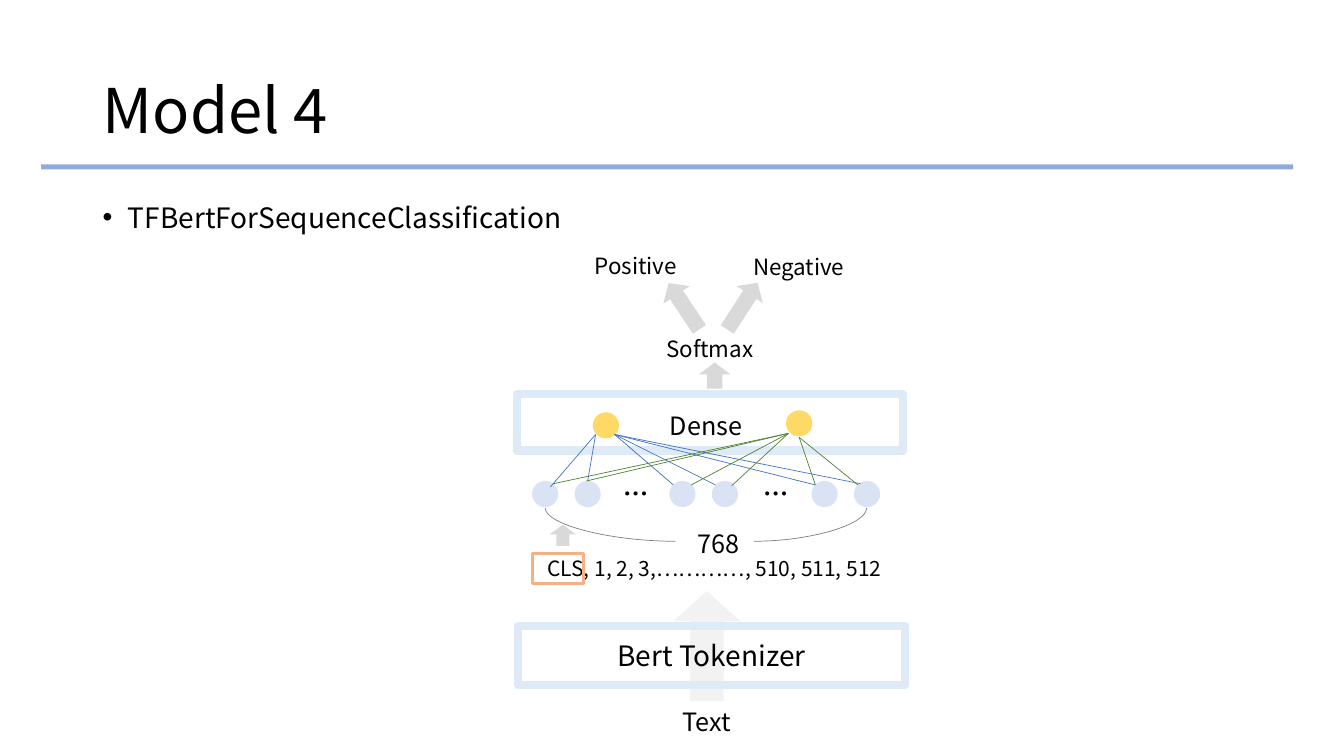
from collections import namedtuple

from lxml.etree import SubElement
from pptx import Presentation
from pptx.dml.color import RGBColor
from pptx.enum.shapes import MSO_CONNECTOR as Link, MSO_SHAPE as Shape
from pptx.enum.text import MSO_ANCHOR as Anchor, MSO_AUTO_SIZE as AutoSize, PP_ALIGN as Align
from pptx.oxml.ns import qn
from pptx.util import Cm, Pt

FONT = "Noto Sans CJK KR"
BLACK = RGBColor(0x00, 0x00, 0x00)
RULE_BLUE = RGBColor(0x8F, 0xAA, 0xDC)
FRAME_BLUE = RGBColor(0xDE, 0xEB, 0xF7)
NODE_BLUE = RGBColor(0xDA, 0xE3, 0xF3)
NODE_YELLOW = RGBColor(0xFF, 0xD9, 0x66)
LINK_BLUE = RGBColor(0x44, 0x72, 0xC4)
LINK_GREEN = RGBColor(0x54, 0x82, 0x35)
ORANGE = RGBColor(0xF4, 0xB1, 0x83)
BRACE_GRAY = RGBColor(0x80, 0x80, 0x80)
ARROW_GRAY = RGBColor(0xD9, 0xD9, 0xD9)
ARROW_PALE = RGBColor(0xF2, 0xF2, 0xF2)

Box = namedtuple("Box", "left top width height")


def inside(box, left, top, width, height):
    """Return a box placed relative to the corner of another one."""
    return Box(box.left + left, box.top + top, width, height)


def write(para, text, size, bold=False):
    """Add one run of black text to a paragraph."""
    span = para.add_run()
    span.text = text
    font = span.font
    font.name, font.size, font.bold = FONT, Pt(size), bold
    font.color.rgb = BLACK
    SubElement(font._element, qn("a:ea")).set("typeface", FONT)


def add_text(page, box, text, size, align=Align.CENTER, bold=False):
    """Add a wrapped text box and return its text frame."""
    frame = page.shapes.add_textbox(*map(Cm, box)).text_frame
    frame.word_wrap = True
    para = frame.paragraphs[0]
    para.alignment = align
    write(para, text, size, bold)
    return frame


def add_label(page, box, text, size, bold=False):
    """Add a centred label that grows with its text."""
    add_text(page, box, text, size, bold=bold).auto_size = AutoSize.SHAPE_TO_FIT_TEXT


def add_solid(page, kind, box, color):
    """Add a filled shape without outline."""
    shape = page.shapes.add_shape(kind, *map(Cm, box))
    shape.shadow.inherit = False
    shape.fill.solid()
    shape.fill.fore_color.rgb = color
    shape.line.fill.background()
    return shape


def add_frame(page, box, color, weight):
    """Add a hollow rectangle."""
    shape = page.shapes.add_shape(Shape.RECTANGLE, *map(Cm, box))
    shape.shadow.inherit = False
    shape.fill.background()
    shape.line.color.rgb = color
    shape.line.width = Pt(weight)
    return shape


def add_arrow(page, box, color, rotation=270):
    """Add a block arrow turned by the given angle."""
    arrow = add_solid(page, Shape.RIGHT_ARROW, box, color)
    arrow.adjustments[0], arrow.adjustments[1] = 0.5, 0.449
    arrow.rotation = rotation


def add_link(page, kind, start, end, color):
    """Add a thin connector between two points."""
    link = page.shapes.add_connector(kind, *map(Cm, start + end))
    link.line.color.rgb = color
    link.line.width = Pt(0.5)
    SubElement(link._element.spPr, qn("a:effectLst"))
    return link


def add_brace(page, start, end):
    """Add a quarter curve that leaves downwards and arrives sideways."""
    (x1, y1), (x2, y2) = start, end
    center_x, center_y = (x1 + x2) / 2, (y1 + y2) / 2
    half_width, half_height = (y2 - y1) / 2, abs(x2 - x1) / 2
    side = 1 if x2 > x1 else -1
    link = add_link(page, Link.CURVE,
                    (center_x + side * half_width, center_y - half_height),
                    (center_x - side * half_width, center_y + half_height), BRACE_GRAY)
    properties = link._element.spPr
    properties.find(qn("a:prstGeom")).set("prst", "curvedConnector2")
    properties.find(qn("a:xfrm")).set("rot", str((270 if side > 0 else 90) * 60000))


def add_header(page, box):
    """Place the title, the rule and the bullet."""
    title = add_text(page, inside(box, 1.3, 0, 29.21, 3.68), "Model 4", 44, Align.LEFT)
    title.vertical_anchor = Anchor.MIDDLE
    title.paragraphs[0].line_spacing = 0.9
    add_solid(page, Shape.RECTANGLE, inside(box, 0, 3.12, box.width, 0.13), RULE_BLUE)
    body = add_text(page, inside(box, 1.3, 4.06, 29.21, 0.97),
                    "TFBertForSequenceClassification", 20, Align.LEFT)
    para = body.paragraphs[0]
    para.line_spacing = 0.8
    properties = para._p.get_or_add_pPr()
    properties.set("marL", str(Cm(0.635)))
    properties.set("indent", str(-Cm(0.635)))
    SubElement(properties, qn("a:buFont")).set("typeface", "Arial")
    SubElement(properties, qn("a:buChar")).set("char", "•")


def add_tokenizer(page, box):
    """Place the input text, the tokenizer and its tokens."""
    add_arrow(page, inside(box, 3.37, 2.28, 2.77, 1.68), ARROW_PALE)
    tokenizer = add_frame(page, inside(box, 0, 2.61, box.width, 1.5), FRAME_BLUE, 6)
    tokenizer.text_frame.vertical_anchor = Anchor.MIDDLE
    para = tokenizer.text_frame.paragraphs[0]
    para.alignment = Align.CENTER
    write(para, "Bert Tokenizer", 20)
    add_label(page, inside(box, 0.86, 4.52, 7.77, 1.02), "Text", 18)
    add_label(page, inside(box, 0.07, 0.71, box.width, 0.89),
              "CLS, 1, 2, 3,…………, 510, 511, 512", 15)
    add_frame(page, inside(box, 0.35, 0.78, 1.3, 0.76), ORANGE, 2.25)
    add_arrow(page, inside(box, 0.86, 0, 0.53, 0.66), ARROW_GRAY)


def add_network(page, box):
    """Place the dense layer, its nodes and their links."""
    add_frame(page, inside(box, 0, 0, box.width, 1.42), FRAME_BLUE, 6)
    for pair_left in (0.38, 3.84, 7.42):
        for left in (pair_left, pair_left + 1.07):
            add_solid(page, Shape.OVAL, inside(box, left, 2.19, 0.66, 0.66), NODE_BLUE)
    for left, top in ((1.91, 0.46), (6.78, 0.41)):
        add_solid(page, Shape.OVAL, inside(box, left, top, 0.66, 0.66), NODE_YELLOW)
    for left in (2.44, 5.97):
        add_label(page, inside(box, left, 2.01, 1.14, 1.02), "⋯", 18, bold=True)

    def point(x, y):
        """Return a point measured from the corner of the box."""
        return box.left + x, box.top + y

    fans = (
        (LINK_BLUE, (1.98, 1.02), ((0.84, 2.34), (1.78, 2.19))),
        (LINK_BLUE, (2.46, 1.02), ((3.94, 2.29), (5, 2.29), (7.52, 2.29), (8.66, 2.26))),
        (LINK_GREEN, (6.84, 0.99), ((0.91, 2.26), (1.75, 2.19), (4.39, 2.29), (5.41, 2.31))),
        (LINK_GREEN, (7.11, 1.09), ((7.52, 2.29), (8.59, 2.29))),
    )
    for color, target, starts in fans:
        for start in starts:
            add_link(page, Link.STRAIGHT, point(*start), point(*target), color)
    add_label(page, inside(box, 2.44, 0.28, 4.65, 1.02), "Dense", 18)
    add_label(page, inside(box, 1.83, 3.25, 6.48, 1.02), "768", 18)
    for start_x, end_x in ((0.71, 3.99), (8.81, 5.97)):
        add_brace(page, point(start_x, 2.87), point(end_x, 3.71))


def add_output(page, box):
    """Place the softmax step and the two classes."""
    add_arrow(page, inside(box, 4.9, 2.85, 0.66, 0.79), ARROW_GRAY)
    add_label(page, inside(box, 0.22, 2.11, 9.78, 0.94), "Softmax", 16)
    classes = (("Positive", 0, 0, 3.76, 236.4), ("Negative", 4.11, 0.03, 5.23, 302.8))
    for name, left, top, arrow_left, rotation in classes:
        add_arrow(page, inside(box, arrow_left, 1.1, 1.4, 0.79), ARROW_GRAY, rotation)
        add_label(page, inside(box, left, top, 6.48, 0.94), name, 16)


def main():
    """Build the deck and save it."""
    deck = Presentation()
    deck.slide_width, deck.slide_height = Cm(33.87), Cm(19.05)
    page = deck.slides.add_slide(deck.slide_layouts[6])
    add_header(page, Box(1.04, 1.02, 31.55, 5.03))
    add_tokenizer(page, Box(13.06, 13.16, 9.75, 5.54))
    add_network(page, Box(13.03, 9.93, 9.73, 4.27))
    add_output(page, Box(12.78, 6.22, 10.59, 3.64))
    deck.save("out.pptx")


if __name__ == "__main__":
    main()
